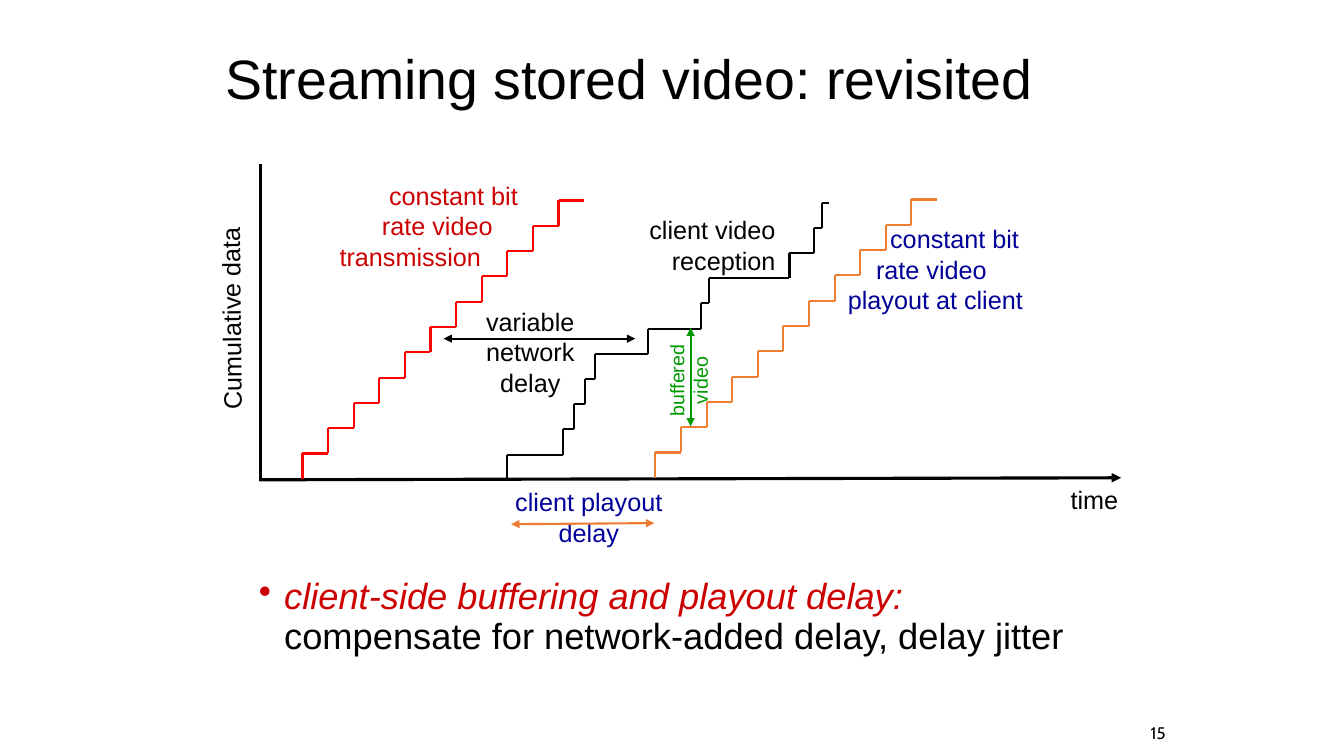
from dataclasses import dataclass

from lxml import etree
from pptx import Presentation
from pptx.dml.color import RGBColor
from pptx.enum.shapes import MSO_CONNECTOR as CONN
from pptx.enum.text import MSO_ANCHOR as ANCHOR, PP_ALIGN as ALIGN
from pptx.oxml.ns import qn
from pptx.util import Inches, Pt


@dataclass(frozen=True)
class Theme:
    font: str = "Arial"
    number_font: str = "Cabin"
    black: str = "000000"
    red: str = "FF0000"
    crimson: str = "CC0000"
    orange: str = "ED7D31"
    blue: str = "000099"
    green: str = "009900"
    title: float = 39.6
    body: float = 25.9
    label: float = 18
    small: float = 14
    number: float = 12
    axis: float = 2.25
    thin: float = 1.5


class Deck:
    def __init__(self, slide, theme):
        self.s = slide
        self.t = theme

    def line(self, start, end, color, width=None, heads=()):
        points = [Inches(v) for v in (*start, *end)]
        c = self.s.shapes.add_connector(CONN.STRAIGHT, *points)
        c.line.color.rgb = RGBColor.from_string(color)
        c.line.width = Pt(width or self.t.thin)
        ln = c.line._get_or_add_ln()
        for end_name in heads:
            etree.SubElement(ln, qn("a:" + end_name), type="triangle")
        etree.SubElement(c._element.spPr, qn("a:effectLst"))

    def stairs(self, xs, base, rise, color):
        for i, (x, next_x) in enumerate(zip(xs, xs[1:])):
            low, high = base - i * rise, base - (i + 1) * rise
            self.line((x, high), (x, low), color)
            self.line((next_x, high), (x, high), color)

    def style(self, font, color, size=None, name=None):
        font.name = name or self.t.font
        font.size = Pt(size or self.t.label)
        font.color.rgb = RGBColor.from_string(color)

    def text(self, box, lines, color, size=None, align=ALIGN.LEFT,
             indents=(), rotation=0, anchor=ANCHOR.TOP, name=None, spacing=None):
        sp = self.s.shapes.add_textbox(*[Inches(v) for v in box])
        sp.rotation = rotation
        tf = sp.text_frame
        tf.word_wrap = True
        tf.vertical_anchor = anchor
        tf.text = "\n".join(lines)
        for p in tf.paragraphs:
            p.alignment = align
            p.line_spacing = spacing
            self.style(p.font, color, size, name)
        for p, indent in zip(tf.paragraphs, indents):
            p._p.get_or_add_pPr().set("marL", str(Inches(indent)))
        return tf

    def bullet(self, box, lead, rest):
        tf = self.text(box, [""], self.t.black, self.t.body, spacing=0.9)
        p = tf.paragraphs[0]
        pPr = p._p.get_or_add_pPr()
        pPr.set("marL", str(Inches(0.25)))
        pPr.set("indent", str(Inches(-0.25)))
        bu = etree.Element(qn("a:buChar"), char="•")
        pPr.find(qn("a:defRPr")).addprevious(bu)
        for words, color, italic in ((lead, self.t.crimson, True),
                                     (rest, self.t.black, False)):
            r = p.add_run()
            r.text = words
            self.style(r.font, color, self.t.body)
            r.font.italic = italic


def main():
    prs = Presentation()
    prs.slide_width, prs.slide_height = Inches(13.33), Inches(7.5)
    t = Theme()
    d = Deck(prs.slides.add_slide(prs.slide_layouts[6]), t)
    both = ("headEnd", "tailEnd")
    steps, run, rise = 11, 0.254, 0.251

    d.line((2.58, 1.63), (2.58, 4.75), t.black, t.axis)
    d.line((11.12, 4.74), (2.57, 4.76), t.black, t.axis, ("headEnd",))
    d.text((1.22, 2.89, 2.14, 0.4), ["Cumulative data"], t.black, rotation=269.4)
    d.text((10.52, 4.76, 0.9, 0.4), ["time"], t.black)

    d.text((3.27, 1.74, 2.04, 1.01),
           ["constant bit", "rate video", "transmission"],
           t.crimson, indents=(0.49, 0.42, 0))
    d.stairs([3 + run * i for i in range(steps + 1)], 4.75, rise, t.red)

    reception = [5.03, 5.58, 5.69, 5.8, 5.9, 6.43, 6.95, 7.03, 7.83, 8.07, 8.15, 8.22]
    d.stairs(reception, 4.76, 0.25, t.black)
    d.text((4.56, 2.99, 1.4, 1.01), ["variable", "network", "delay"],
           t.black, align=ALIGN.CENTER)
    d.line((4.4, 3.36), (6.3, 3.36), t.black, heads=both)
    d.text((6.12, 2.08, 1.67, 0.71), ["client video", "reception"],
           t.black, align=ALIGN.RIGHT)

    d.stairs([6.5 + run * i for i in range(steps + 1)], 4.74, rise, t.orange)
    d.text((8.24, 2.17, 2.09, 1.01),
           ["constant bit", "rate video", "playout at client"],
           t.blue, indents=(0.49, 0.35, 0.07))
    d.text((4.92, 4.78, 1.84, 0.7), ["client playout", "delay"],
           t.blue, align=ALIGN.CENTER)
    d.line((5.07, 5.2), (6.49, 5.19), t.orange, heads=both)

    d.line((6.85, 4.23), (6.85, 3.25), t.green, heads=both)
    d.text((6.23, 3.49, 1.2, 0.57), ["buffered", "video"], t.green, t.small,
           ALIGN.CENTER, rotation=270)

    d.bullet((2.47, 5.69, 8.5, 0.97), "client-side buffering and playout delay: ",
             "compensate for network-added delay, delay jitter")
    d.text((2.14, 0.33, 8.84, 0.95), ["Streaming stored video: revisited"],
           t.black, t.title, anchor=ANCHOR.MIDDLE, spacing=0.9)
    d.text((10.91, 7.12, 0.75, 0.3), ["15"], t.black, t.number, ALIGN.RIGHT,
           anchor=ANCHOR.MIDDLE, name=t.number_font)
    prs.save("out.pptx")


if __name__ == "__main__":
    main()
